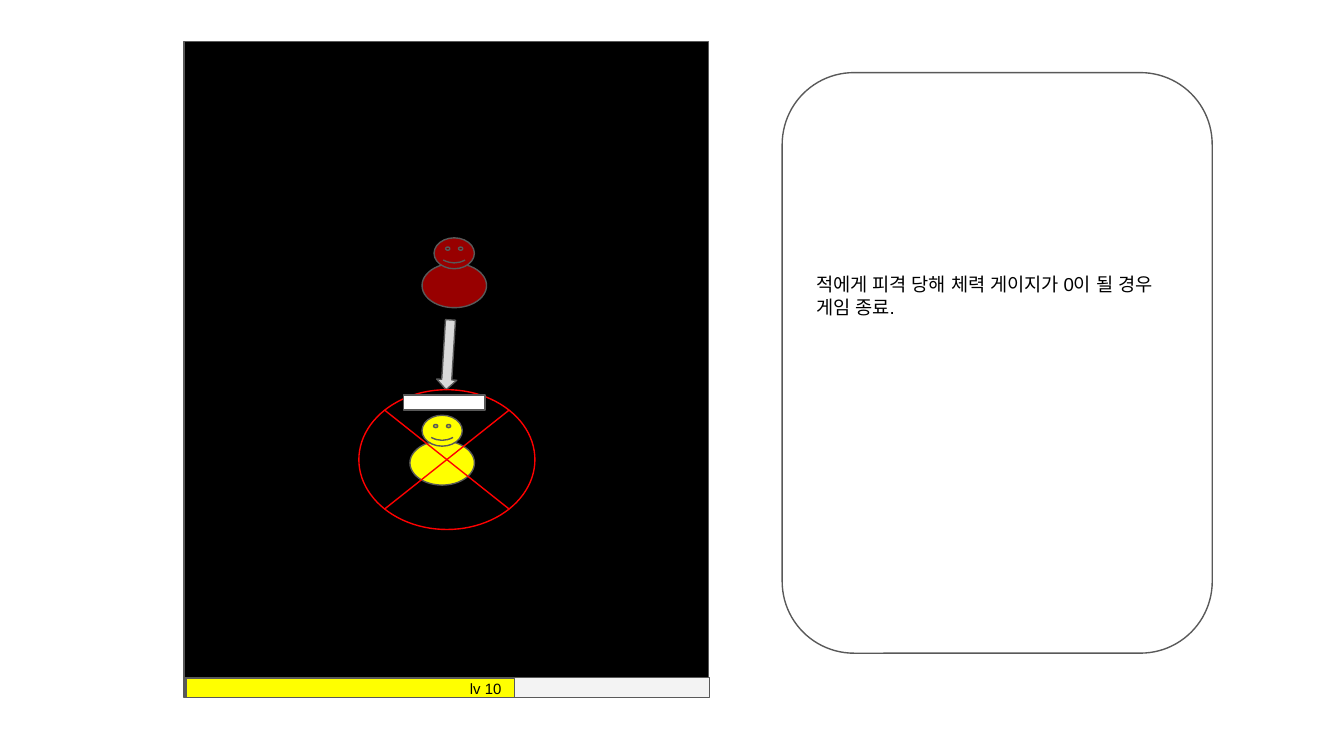
from dataclasses import dataclass

from lxml.etree import SubElement
from pptx import Presentation
from pptx.dml.color import RGBColor
from pptx.enum.shapes import MSO_SHAPE as Shape
from pptx.enum.text import MSO_ANCHOR as Anchor, PP_ALIGN as Align
from pptx.oxml.ns import qn
from pptx.util import Inches, Pt


@dataclass(frozen=True)
class Theme:
    font: str = "Arial"
    bar_size: float = 8
    note_size: float = 10
    line_width: float = 0.75
    text: str = "000000"
    outline: str = "595959"
    board: str = "000000"
    player: str = "FFFF00"
    enemy: str = "980000"
    track: str = "F3F3F3"
    arrow: str = "D9D9D9"
    defeat: str = "FF0000"
    health: str = "FFFFFF"


class SlideBuilder:
    def __init__(self, slide, theme):
        self.slide = slide
        self.theme = theme

    def shape(self, kind, left, top, width, height, fill=None, line=None,
              adjustments=(), rotation=0):
        shape = self.slide.shapes.add_shape(
            kind, Inches(left), Inches(top), Inches(width), Inches(height))
        shape.shadow.inherit = False
        shape.rotation = rotation
        for index, value in enumerate(adjustments):
            shape.adjustments[index] = value
        if fill:
            shape.fill.solid()
            shape.fill.fore_color.rgb = RGBColor.from_string(fill)
        else:
            shape.fill.background()
        shape.line.color.rgb = RGBColor.from_string(line or self.theme.outline)
        shape.line.width = Pt(self.theme.line_width)
        return shape

    def text(self, shape, content, size, align=Align.LEFT, bottom=0.1):
        frame = shape.text_frame
        frame.word_wrap = True
        frame.vertical_anchor = Anchor.MIDDLE
        frame.margin_left = frame.margin_right = frame.margin_top = Inches(0.1)
        frame.margin_bottom = Inches(bottom)
        paragraph = frame.paragraphs[0]
        paragraph.alignment = align
        run = paragraph.add_run()
        run.text = content
        run.font.size = Pt(size)
        run.font.color.rgb = RGBColor.from_string(self.theme.text)
        run.font.name = self.theme.font
        properties = run.font._element
        for script in ("a:ea", "a:cs"):
            SubElement(properties, qn(script), typeface=self.theme.font)

    def character(self, left, top, color):
        self.shape(Shape.OVAL, left, top + 0.19, 0.48, 0.33, color)
        self.shape(Shape.SMILEY_FACE, left + 0.09, top, 0.3, 0.23, color,
                   adjustments=[0.047])


def main():
    presentation = Presentation()
    presentation.slide_width = Inches(10)
    presentation.slide_height = Inches(10 * 9 / 16)
    theme = Theme()
    slide = presentation.slides.add_slide(presentation.slide_layouts[6])
    builder = SlideBuilder(slide, theme)

    builder.shape(Shape.RECTANGLE, 1.37, 0.31, 3.9, 4.88, theme.board)
    builder.character(3.05, 3.09, theme.player)

    builder.shape(Shape.RECTANGLE, 1.38, 5.04, 3.9, 0.15, theme.track)
    level_bar = builder.shape(Shape.RECTANGLE, 1.39, 5.05, 2.44, 0.14, theme.player)
    builder.text(level_bar, "lv 10", theme.bar_size, Align.RIGHT)

    note = builder.shape(Shape.ROUNDED_RECTANGLE, 5.82, 0.54, 3.2, 4.32,
                         adjustments=[0.167])
    builder.text(note, "적에게 피격 당해 체력 게이지가 0이 될 경우 게임 종료.",
                 theme.note_size, bottom=1.1)

    builder.character(3.14, 1.77, theme.enemy)
    builder.shape(Shape.UP_ARROW, 3.26, 2.38, 0.15, 0.52, theme.arrow,
                  adjustments=[0.5, 0.5], rotation=183.6)
    builder.shape(Shape.FLOWCHART_SUMMING_JUNCTION, 2.67, 2.9, 1.31, 1.04,
                  line=theme.defeat)
    builder.shape(Shape.RECTANGLE, 3, 2.94, 0.61, 0.11, theme.health)

    presentation.save("out.pptx")


if __name__ == "__main__":
    main()
